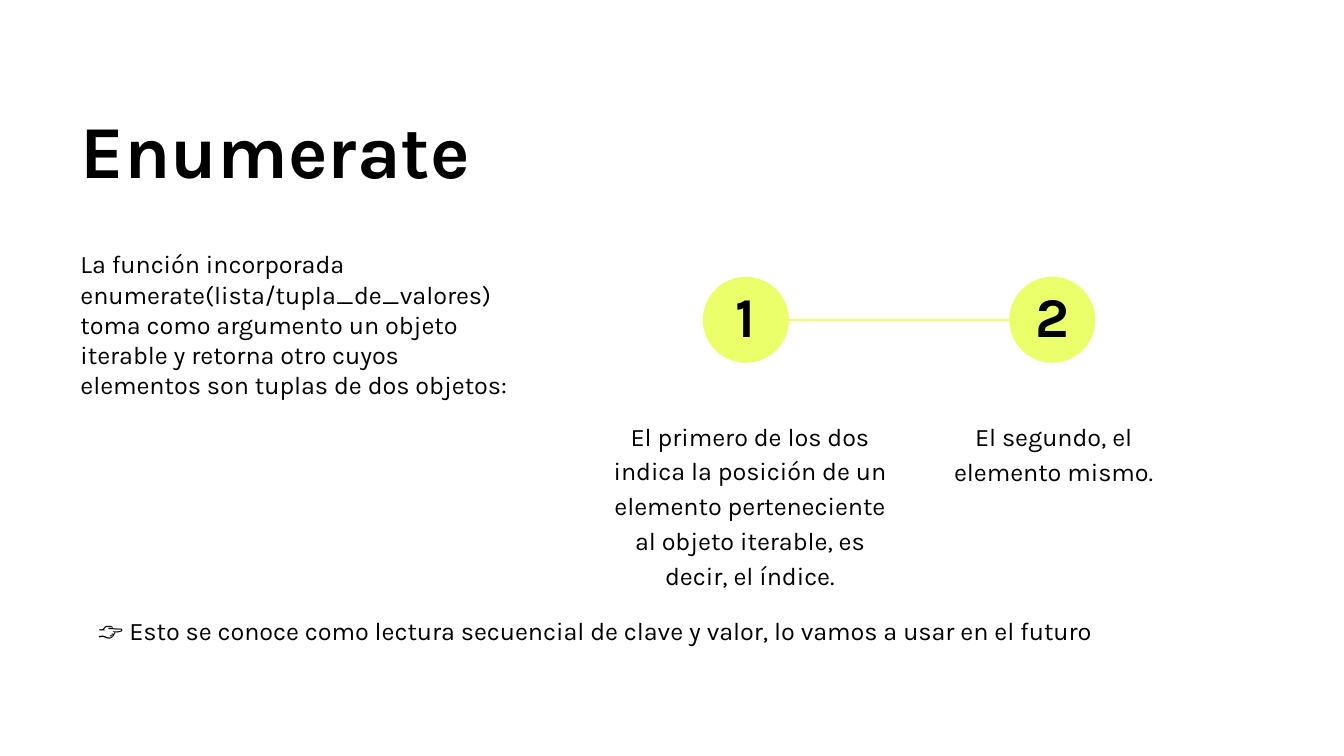
import pptx
import pptx.util
import pptx.dml.color
import pptx.enum.shapes
import pptx.enum.text
import pptx.oxml.ns
from lxml import etree

Inches = pptx.util.Inches
PP_ALIGN = pptx.enum.text.PP_ALIGN
LIME = "EAFF6A"
BLACK = "000000"


def color(hex_code):
    return pptx.dml.color.RGBColor.from_string(hex_code)


def write(holder, text, size=13.5, bold=False, align=PP_ALIGN.LEFT, spacing=1.0):
    frame = holder.text_frame
    frame.word_wrap = True
    frame.auto_size = pptx.enum.text.MSO_AUTO_SIZE.NONE
    frame.vertical_anchor = pptx.enum.text.MSO_ANCHOR.TOP
    frame.margin_left = frame.margin_right = Inches(0.1)
    frame.margin_top = frame.margin_bottom = Inches(0.1)
    paragraph = frame.paragraphs[0]
    paragraph.alignment = align
    paragraph.line_spacing = spacing
    paragraph.space_before = pptx.util.Pt(0)
    run = paragraph.add_run()
    run.text = text
    run.font.name = "Karla"
    run.font.size = pptx.util.Pt(size)
    run.font.bold = bold
    run.font.color.rgb = color(BLACK)


# Widescreen 16:9 slide
deck = pptx.Presentation()
deck.slide_width = Inches(10)
deck.slide_height = Inches(10 * 9 / 16)
slide = deck.slides.add_slide(deck.slide_layouts[5])
slide.background.fill.solid()
slide.background.fill.fore_color.rgb = color("FFFFFF")
shapes = slide.shapes

# Title
title = shapes.title
title.left, title.top = Inches(0.5), Inches(0.75)
title.width, title.height = Inches(5.17), Inches(0.81)
write(title, "Enumerate", size=40, bold=True, spacing=0.9)

# Introduction
intro = shapes.add_textbox(Inches(0.5), Inches(1.75), Inches(3.48), Inches(2.02))
write(intro, "La función incorporada enumerate(lista/tupla_de_valores) toma como "
             "argumento un objeto iterable y retorna otro cuyos elementos son "
             "tuplas de dos objetos:")

# Numbered steps: circle left, explanation left, width and height, text
diameter = 0.64
circle_top = 2.06
number_width = 0.45
steps = [
    (5.23, 4.39, 2.38, 1.47,
     "El primero de los dos indica la posición de un elemento perteneciente "
     "al objeto iterable, es decir, el índice."),
    (7.51, 6.77, 2.14, 0.69, "El segundo, el elemento mismo."),
]
for number, (circle_left, left, width, height, text) in enumerate(steps, start=1):
    circle = shapes.add_shape(
        pptx.enum.shapes.MSO_SHAPE.OVAL, Inches(circle_left), Inches(circle_top),
        Inches(diameter), Inches(diameter))
    circle.shadow.inherit = False
    circle.fill.solid()
    circle.fill.fore_color.rgb = color(LIME)
    circle.line.fill.background()

    number_left = circle_left + (diameter - number_width) / 2
    numeral = shapes.add_textbox(
        Inches(number_left), Inches(2.05), Inches(number_width), Inches(0.66))
    write(numeral, str(number), size=30, bold=True, align=PP_ALIGN.CENTER, spacing=0.9)

    explanation = shapes.add_textbox(Inches(left), Inches(3), Inches(width), Inches(height))
    write(explanation, text, align=PP_ALIGN.CENTER, spacing=1.15)

# Line joining the two circles
line_y = Inches(circle_top + diameter / 2)
link = shapes.add_connector(
    pptx.enum.shapes.MSO_CONNECTOR.STRAIGHT,
    Inches(steps[0][0] + diameter), line_y, Inches(steps[1][0]), line_y)
link.line.color.rgb = color(LIME)
link.line.width = pptx.util.Pt(0.75)
etree.SubElement(link._element.spPr, pptx.oxml.ns.qn("a:effectLst"))

# Closing remark
remark = shapes.add_textbox(Inches(0.63), Inches(4.48), Inches(9.08), Inches(0.43))
write(remark, "👉 Esto se conoce como lectura secuencial de clave y valor, "
              "lo vamos a usar en el futuro")

deck.save("out.pptx")
